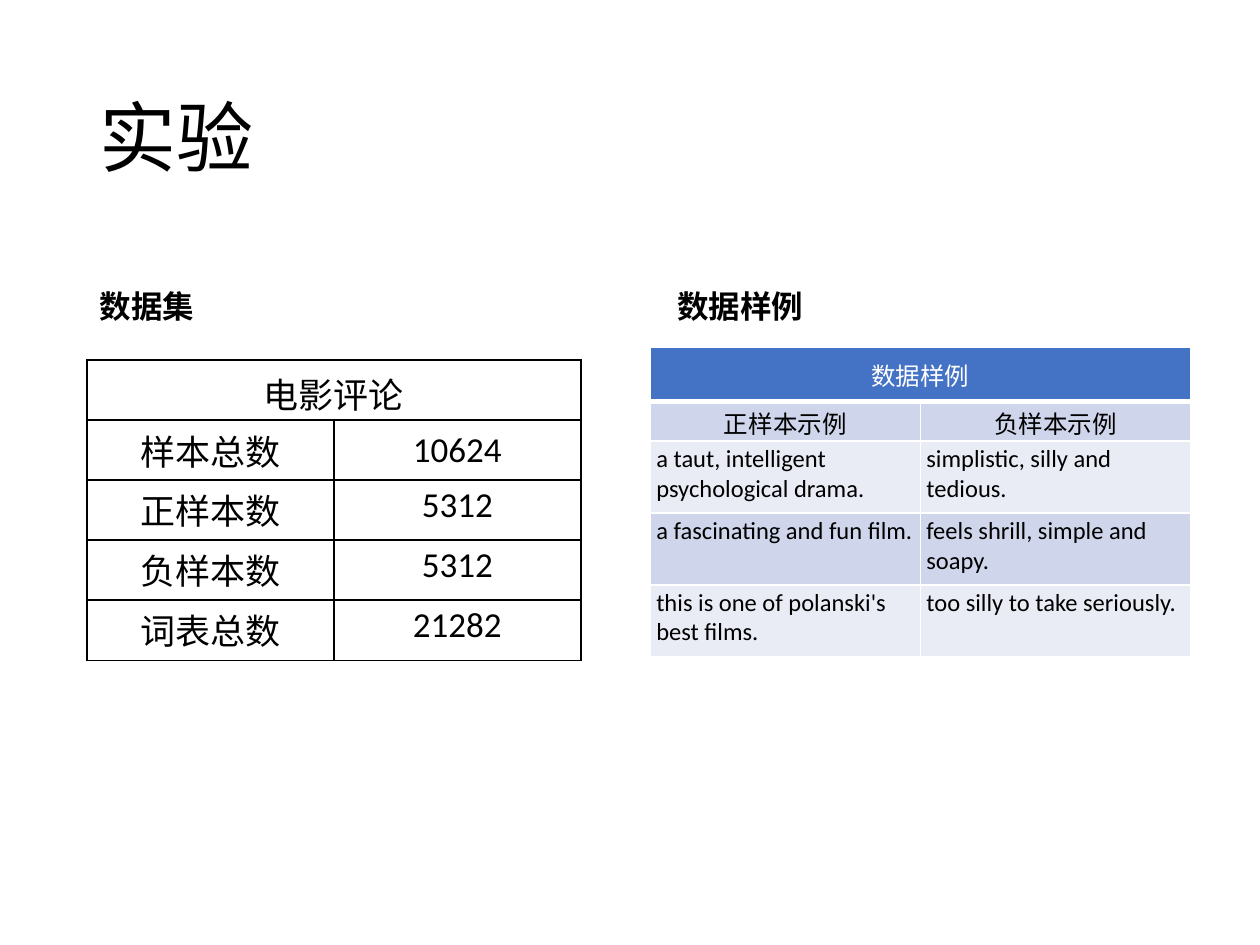
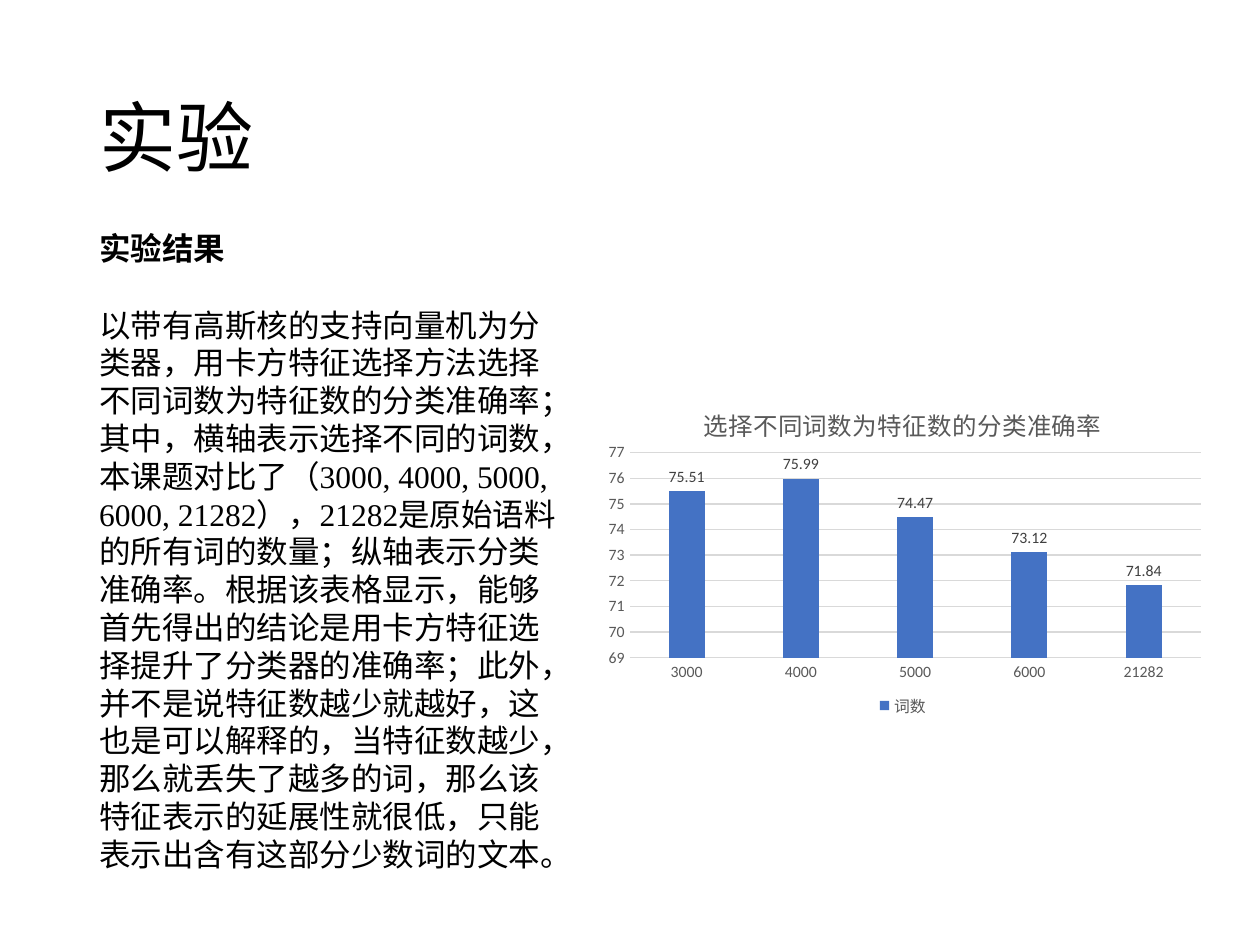
from pptx import Presentation, util as u
from pptx.chart.data import CategoryChartData
from pptx.dml.color import RGBColor
from pptx.enum import chart as ch, text as t
from pptx.oxml import parse_xml
from pptx.oxml.ns import nsdecls

HUE = {"ink": "000000", "paper": "FFFFFF", "blue": "4472C4", "mid": "CFD5EA",
       "pale": "E9EBF5", "grid": "D9D9D9", "grey": "595959", "dark": "404040"}
LEFT, RIGHT = 1.75, 13.11
SANS, SERIF = "Calibri", "Times New Roman"
MID = t.PP_ALIGN.CENTER


def rgb(name):
    """Return the named colour."""
    return RGBColor.from_string(HUE[name])


def style(font, size, hue="ink", face=SANS, bold=False):
    """Set size, colour, face and weight of a font."""
    font.size, font.name, font.bold = u.Pt(size), face, bold
    font.color.rgb = rgb(hue)


def write(para, words, size, align=None, **look):
    """Add one styled run to a paragraph."""
    para.alignment = align
    run = para.add_run()
    run.text = words
    style(run.font, size, **look)


def page(deck, words):
    """Add a title-only slide and set its title."""
    slide = deck.slides.add_slide(deck.slide_layouts[5])
    head = slide.shapes.title
    head.left, head.top, head.width, head.height = map(u.Cm, (LEFT, 1.01, 21.9, 3.68))
    head.text_frame.vertical_anchor = t.MSO_ANCHOR.MIDDLE
    para = head.text_frame.paragraphs[0]
    para.line_spacing = 0.9
    write(para, words, 44, t.PP_ALIGN.LEFT)
    return slide


def panel(slide, box):
    """Add a wrapping text box and return its frame."""
    frame = slide.shapes.add_textbox(*map(u.Cm, box)).text_frame
    frame.word_wrap = True
    return frame


def label(slide, box, words):
    """Add a bold, centred heading over a table."""
    write(panel(slide, box).paragraphs[0], words, 18, MID, bold=True)


def edge(cell, hue, wide):
    """Draw the four borders of a cell; wide maps a side to its points."""
    for side in "LRTB":
        cell._tc.get_or_add_tcPr().append(parse_xml(
            f'<a:ln{side} {nsdecls("a")} w="{u.Pt(wide.get(side, 1))}"><a:solidFill>'
            f'<a:srgbClr val="{HUE[hue]}"/></a:solidFill></a:ln{side}>'))


def pad(cell, wide, high):
    """Set the inner margins of a cell."""
    cell.margin_left = cell.margin_right = u.Cm(wide)
    cell.margin_top = cell.margin_bottom = u.Cm(high)


def grid(slide, box, rows, highs, size, line, fills, pads, centre):
    """Add a two-column table whose first row is one merged heading.

    The pads are for heading and body; centre(row) tells which rows are centred.
    """
    left, top, width = box
    table = slide.shapes.add_table(len(rows), 2, *map(
        u.Cm, (left, top, width, sum(highs)))).table
    for row, high in zip(table.rows, highs):
        row.height = u.Cm(high)
    for r, row in enumerate(rows):
        for c in range(2):
            cell = table.cell(r, c)
            head = r == 0
            edge(cell, line, {"B": 3} if head and fills else {})
            if fills:
                cell.fill.solid()
                cell.fill.fore_color.rgb = rgb(fills[r])
            else:
                cell.fill.background()
            pad(cell, *pads[0 if head else 1])
            if r < 2:
                cell.vertical_anchor = t.MSO_ANCHOR.MIDDLE
            if c < len(row):
                write(cell.text_frame.paragraphs[0], row[c], size,
                      MID if centre(r) else None,
                      hue="paper" if head and fills else "ink")
    table.cell(0, 0).merge(table.cell(0, 1))


def prose(slide, box, head, body):
    """Add a bold heading with a paragraph below it."""
    frame = panel(slide, box)
    first = frame.paragraphs[0]
    first.space_after = u.Pt(22)
    write(first, head, 18, face=SERIF, bold=True)
    write(frame.add_paragraph(), body, 18, face=SERIF)


def place(plot, x, y, w, h):
    """Fix the inner plot area as shares of the chart."""
    old = plot.find("{*}layout")
    if old is not None:
        plot.remove(old)
    spots = "".join(f'<c:{k} val="{v}"/>' for k, v in zip("xywh", (x, y, w, h)))
    plot.insert(0, parse_xml(
        f'<c:layout {nsdecls("c")}><c:manualLayout><c:layoutTarget val="inner"/>'
        f'<c:xMode val="edge"/><c:yMode val="edge"/>{spots}'
        '</c:manualLayout></c:layout>'))


def bars(slide, box, title, name, cats, vals):
    """Add the column chart with title, value labels and legend."""
    data = CategoryChartData()
    data.categories = cats
    data.add_series(name, vals)
    chart = slide.shapes.add_chart(ch.XL_CHART_TYPE.COLUMN_CLUSTERED,
                                   *map(u.Cm, box), data).chart
    style(chart.font, 10)
    write(chart.chart_title.text_frame.paragraphs[0], title, 14, hue="grey")
    chart.has_legend = True
    chart.legend.position = ch.XL_LEGEND_POSITION.BOTTOM
    chart.legend.include_in_layout = False
    style(chart.legend.font, 9, "grey")

    plot = chart.plots[0]
    plot.gap_width, plot.overlap, plot.vary_by_categories = 219, -27, False
    fill = plot.series[0].format.fill
    fill.solid()
    fill.fore_color.rgb = rgb("blue")
    plot.has_data_labels = True
    tags = plot.data_labels
    tags.show_value = True
    tags.position = ch.XL_LABEL_POSITION.OUTSIDE_END
    style(tags.font, 9, "dark")

    base, side = chart.category_axis, chart.value_axis
    for axis in (base, side):
        axis.major_tick_mark = axis.minor_tick_mark = ch.XL_TICK_MARK.NONE
        style(axis.tick_labels.font, 9, "grey")
    side.minimum_scale, side.maximum_scale, side.major_unit = 69, 77, 1
    side.format.line.fill.background()
    for line in (base.format.line, side.major_gridlines.format.line):
        line.color.rgb = rgb("grid")
        line.width = u.Pt(0.75)
    place(chart._chartSpace.chart.plotArea, 0.06, 0.2, 0.92, 0.61)


def samples(deck):
    """Build the slide with the data set and its examples."""
    slide = page(deck, "实验")
    label(slide, (LEFT, 5.67, 2.42, 1.02), "数据集")
    grid(slide, (LEFT, 7.26, 9.96),
         [["电影评论"], ["样本总数", "10624"], ["正样本数", "5312"],
          ["负样本数", "5312"], ["词表总数", "21282"]],
         [1.21] * 5, 20, "ink", None, [(0.3, 0.15), (0.15, 0.08)],
         lambda r: True)
    grid(slide, (RIGHT, 7.01, 10.89),
         [["数据样例"], ["正样本示例", "负样本示例"],
          ["a taut, intelligent psychological drama.", "simplistic, silly and tedious."],
          ["a fascinating and fun film.", "feels shrill, simple and soapy."],
          ["this is one of polanski's best films.", "too silly to take seriously."]],
         [1.09, 0.79] + [1.45] * 3, 14, "paper",
         ["blue", "mid", "pale", "mid", "pale"], [(0.23, 0.11), (0.12, 0.06)],
         lambda r: r < 2)
    label(slide, (RIGHT, 5.67, 3.63, 1.02), "数据样例")


def results(deck):
    """Build the slide with the findings and their chart."""
    slide = page(deck, "实验")
    bars(slide, (11.94, 7.77, 12.52, 6.78), "选择不同词数为特征数的分类准确率", "词数",
         ["3000", "4000", "5000", "6000", "21282"],
         [75.51, 75.99, 74.47, 73.12, 71.84])
    prose(slide, (LEFT, 4.5, 9.78, 13.34), "实验结果",
          "以带有高斯核的支持向量机为分类器，用卡方特征选择方法选择不同词数为特征数的分类准确率；"
          "其中，横轴表示选择不同的词数，本课题对比了（3000, 4000, 5000, 6000, 21282），"
          "21282是原始语料的所有词的数量；纵轴表示分类准确率。根据该表格显示，"
          "能够首先得出的结论是用卡方特征选择提升了分类器的准确率；此外，"
          "并不是说特征数越少就越好，这也是可以解释的，当特征数越少，那么就丢失了越多的词，"
          "那么该特征表示的延展性就很低，只能表示出含有这部分少数词的文本。")


deck = Presentation()
deck.slide_width, deck.slide_height = u.Cm(25.4), u.Cm(19.05)
samples(deck)
results(deck)
deck.save("out.pptx")
